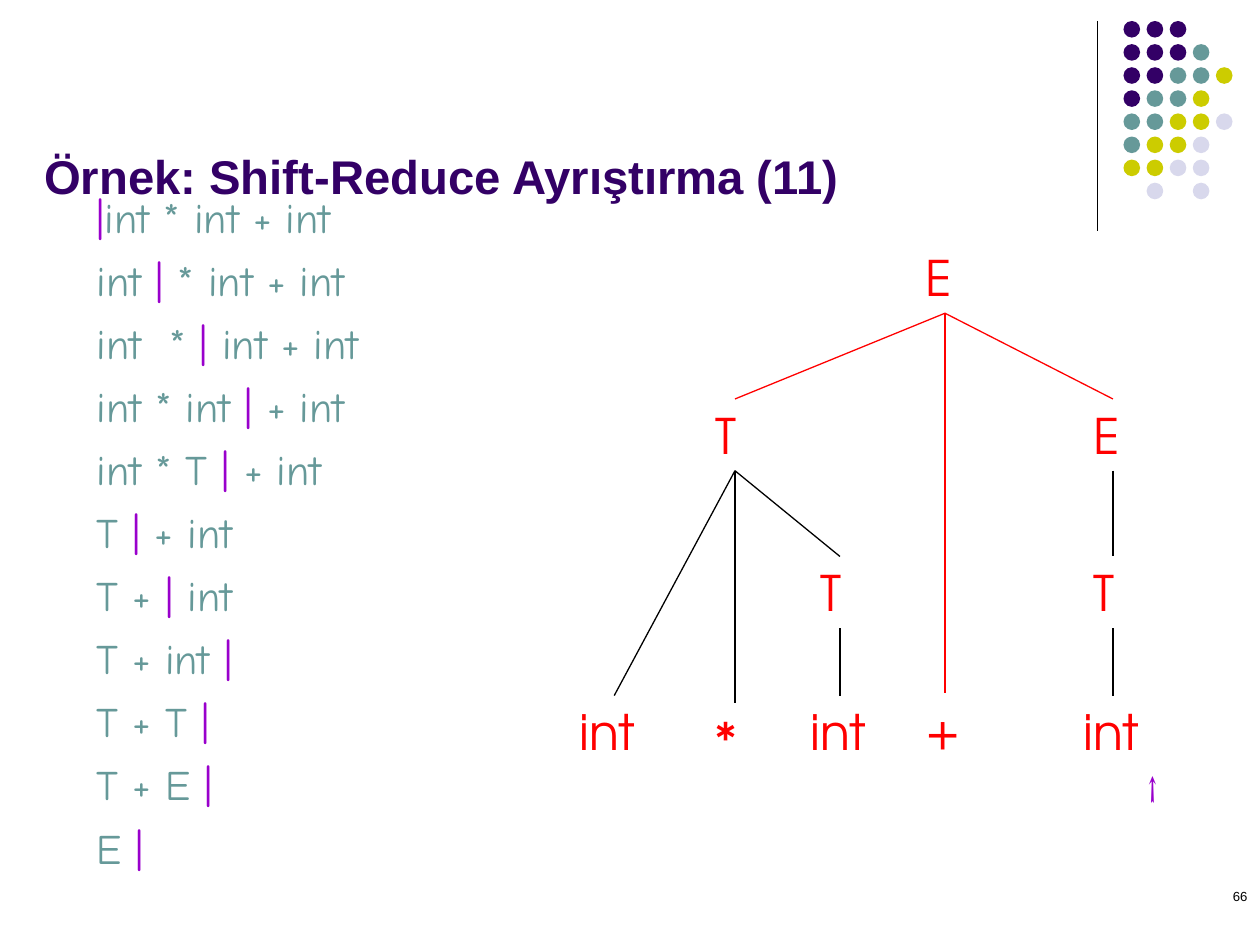
from pptx import Presentation
from pptx.dml.color import RGBColor
from pptx.enum.shapes import MSO_CONNECTOR, MSO_SHAPE
from pptx.enum.text import MSO_ANCHOR, PP_ALIGN
from pptx.oxml.ns import qn
from pptx.util import Pt
from lxml import etree

INDIGO, TEAL, OLIVE, LILAC = "330066", "669999", "CCCC00", "D8D8EC"
PURPLE, RED, BLACK = "9900CC", "FF0000", "000000"


def rgb(color):
    return RGBColor.from_string(color)


def add_text(p, text, size=28, font="TeX Gyre Adventor", color=RED, bold=False):
    r = p.add_run()
    r.text = text
    r.font.size = Pt(size)
    r.font.name = font
    r.font.bold = bold
    r.font.color.rgb = rgb(color)


prs = Presentation()
prs.slide_width, prs.slide_height = Pt(720), Pt(540)
s = prs.slides.add_slide(prs.slide_layouts[5])

# Title
title = s.shapes.title
title.left, title.top, title.width, title.height = Pt(18), Pt(18), Pt(606), Pt(102)
tf = title.text_frame
tf.vertical_anchor = MSO_ANCHOR.BOTTOM
tf.paragraphs[0].alignment = PP_ALIGN.LEFT
add_text(tf.paragraphs[0], "Örnek: Shift-Reduce Ayrıştırma (11)",
         size=27, font="Arial", color=INDIGO, bold=True)

# Corner dots, one letter per colour
dot_colors = {"i": INDIGO, "t": TEAL, "o": OLIVE, "l": LILAC}
dot_rows = ["iii", "iiit", "iitto", "itto", "ttool", "tool", "ooll", " l l"]
dots = s.shapes.add_group_shape()
for row, letters in enumerate(dot_rows):
    for col, letter in enumerate(letters):
        if letter in dot_colors:
            dot = dots.shapes.add_shape(MSO_SHAPE.OVAL, Pt(642 + 13.2 * col),
                                        Pt(12 + 13.2 * row), Pt(9.5), Pt(9.5))
            dot.shadow.inherit = False
            dot.fill.solid()
            dot.fill.fore_color.rgb = rgb(dot_colors[letter])
            dot.line.fill.background()

# Text boxes: tree nodes, input pointer and page number
tree_nodes = {
    "E root": ("E", 522, 138, 36),
    "T left": ("T", 402, 228, 36),
    "E right": ("E", 618, 228, 36),
    "T inner": ("T", 462, 318, 36),
    "T right": ("T", 618, 318, 36),
    "int 1": ("int", 324, 397.5, 54),
    "*": ("*", 402, 402, 36),
    "int 2": ("int", 456, 397.5, 48),
    "+": ("+", 522, 396, 36),
    "int 3": ("int", 612, 397.5, 48),
}
labels = [(name, *node, 41, {}) for name, node in tree_nodes.items()]
labels += [
    ("pointer", "↑", 648, 432, 42, 36, dict(size=24, font="Cambria", color=PURPLE)),
    ("page", "66", 570, 504, 150, 36, dict(size=7.5, font="Arial", color=BLACK)),
]
boxes = {}
for name, text, x, y, w, h, style in labels:
    box = s.shapes.add_textbox(Pt(x), Pt(y), Pt(w), Pt(h))
    box.text_frame.word_wrap = True
    add_text(box.text_frame.paragraphs[0], text, **style)
    boxes[name] = box
boxes["page"].text_frame.paragraphs[0].alignment = PP_ALIGN.RIGHT

# Divider and tree branches, from parent bottom to child top
divider = s.shapes.add_connector(MSO_CONNECTOR.STRAIGHT, Pt(627), Pt(12), Pt(627), Pt(132))
lines = [(divider, BLACK)]
branches = [
    ("E root", ["T left", "+", "E right"], RED),
    ("T left", ["int 1", "*", "T inner"], BLACK),
    ("T inner", ["int 2"], BLACK),
    ("E right", ["T right"], BLACK),
    ("T right", ["int 3"], BLACK),
]
for parent, children, color in branches:
    for child in children:
        branch = s.shapes.add_connector(MSO_CONNECTOR.STRAIGHT, 0, 0, 0, 0)
        branch.begin_connect(boxes[parent], 2)
        branch.end_connect(boxes[child], 0)
        lines.append((branch, color))
for line, color in lines:
    line.line.color.rgb = rgb(color)
    line.line.width = Pt(0.75)
    etree.SubElement(line._element.spPr, qn("a:effectLst"))

# Parsing steps, with the bar marking the stack top
steps = [
    "|int * int + int",
    "int | * int + int",
    "int  * | int + int",
    "int * int | + int",
    "int * T | + int",
    "T | + int",
    "T + | int",
    "T + int |",
    "T + T |",
    "T + E |",
    "E |",
]
row_height = 36.06
table = s.shapes.add_table(len(steps), 1, Pt(48), Pt(108), Pt(234),
                           Pt(row_height * len(steps))).table
table.first_row = table.horz_banding = False
for row, step in enumerate(steps):
    cell = table.cell(row, 0)
    # Borders without a line go before the fill
    tcPr = cell._tc.get_or_add_tcPr()
    for side in ("a:lnL", "a:lnR", "a:lnT", "a:lnB"):
        border = etree.SubElement(tcPr, qn(side), w="0")
        etree.SubElement(border, qn("a:noFill"))
    cell.fill.background()
    for part in step.partition("|"):
        if part:
            add_text(cell.text_frame.paragraphs[0], part, size=24, font="Comic Neue",
                     color=PURPLE if part == "|" else TEAL)

prs.save("out.pptx")
